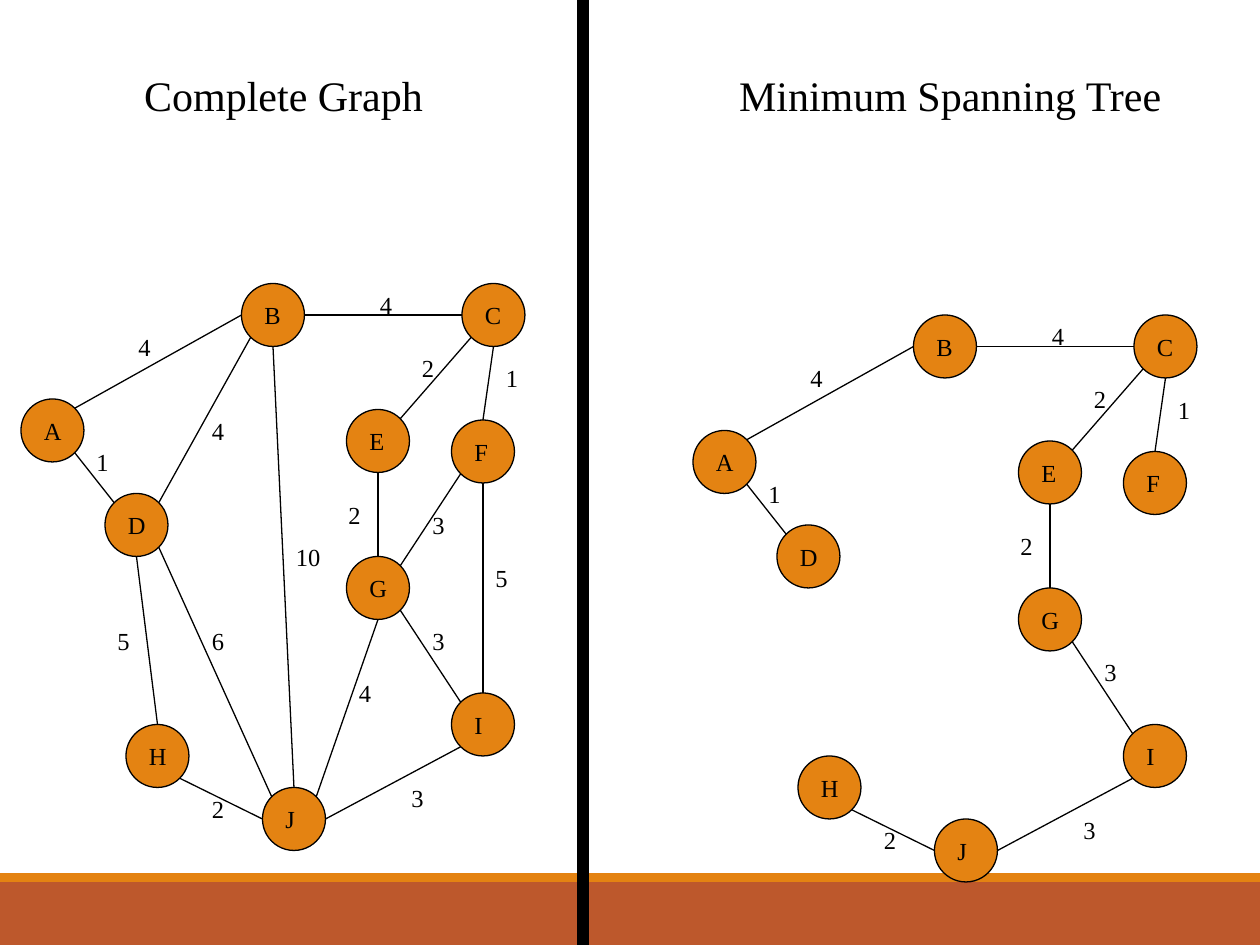
import math
from dataclasses import dataclass

from lxml import etree
from pptx import Presentation
from pptx import util as u
from pptx.dml.color import RGBColor
from pptx.enum import shapes, text
from pptx.oxml.ns import qn


@dataclass(frozen=True)
class Theme:
    ink: str = "000000"
    accent: str = "E48312"
    footer: str = "BD582C"
    font: str = "Times New Roman"
    title_size: int = 24
    label_size: int = 14
    line_width: float = 0.75


THEME = Theme()
STEP_CM = 2.54 / 12
NODE_SIZE = 6
LABEL_HEIGHT = 4
TREE_SHIFT = (64, 3)
GLYPH_EM = dict(A=0.72, B=0.67, C=0.67, D=0.72, E=0.61, F=0.56,
                G=0.72, H=0.72, I=0.33, J=0.39)
DIGIT_EM = 0.5

NODES = {
    "A": (2, 38), "B": (23, 27), "C": (44, 27), "D": (10, 47), "E": (33, 39),
    "F": (43, 40), "G": (33, 53), "H": (12, 69), "I": (43, 66), "J": (25, 75),
}

SITE_ANGLES = {"right": 0, "lower right": 45, "bottom": 90, "lower left": 135,
               "left": 180, "upper left": 225, "top": 270, "upper right": 315}

EDGES = {
    "AB": ("upper right", "left", 4, (12, 31)),
    "AD": ("lower right", "upper left", 1, (8, 42)),
    "BC": ("right", "left", 4, (35, 27)),
    "BD": ("lower left", "upper right", 4, (19, 39)),
    "BJ": ("bottom", "top", 10, (27, 51)),
    "CE": ("lower left", "upper right", 2, (39, 33)),
    "CF": ("bottom", "top", 1, (47, 34)),
    "DH": ("bottom", "top", 5, (10, 59)),
    "DJ": ("lower right", "upper left", 6, (19, 59)),
    "EG": ("bottom", "top", 2, (32, 47)),
    "FG": ("lower left", "upper right", 3, (40, 48)),
    "FI": ("bottom", "top", 5, (46, 53)),
    "GI": ("lower right", "upper left", 3, (40, 59)),
    "GJ": ("bottom", "upper right", 4, (33, 64)),
    "HJ": ("lower right", "left", 2, (19, 75)),
    "IJ": ("lower left", "right", 3, (38, 74)),
}
TREE_EDGES = ("AB", "AD", "BC", "CE", "CF", "EG", "GI", "HJ", "IJ")


def grid(*steps):
    return [u.Cm(step * STEP_CM) for step in steps]


def moved(point, shift):
    return point[0] + shift[0], point[1] + shift[1]


def set_outline(line):
    line.color.rgb = RGBColor.from_string(THEME.ink)
    line.width = u.Pt(THEME.line_width)


def add_filled(slide, kind, bounds, color, outlined=False):
    shape = slide.shapes.add_shape(kind, *bounds)
    shape.shadow.inherit = False
    shape.fill.solid()
    shape.fill.fore_color.rgb = RGBColor.from_string(color)
    if outlined:
        set_outline(shape.line)
    else:
        shape.line.fill.background()


def add_text(slide, words, bounds, size=THEME.label_size,
             align=text.PP_ALIGN.LEFT, wrap=False):
    frame = slide.shapes.add_textbox(*bounds).text_frame
    frame.word_wrap = wrap
    frame.auto_size = text.MSO_AUTO_SIZE.SHAPE_TO_FIT_TEXT
    paragraph = frame.paragraphs[0]
    paragraph.alignment = align
    run = paragraph.add_run()
    run.text = words
    run.font.name = THEME.font
    run.font.size = u.Pt(size)
    run.font.color.rgb = RGBColor.from_string(THEME.ink)


def add_label(slide, words, corner):
    ems = sum(GLYPH_EM.get(glyph, DIGIT_EM) for glyph in words)
    width = u.Cm(0.51) + u.Pt(THEME.label_size * ems)
    left, top, height = grid(*corner, LABEL_HEIGHT)
    add_text(slide, words, (left, top, width, height))


def add_node(slide, name, shift):
    corner = moved(NODES[name], shift)
    add_filled(slide, shapes.MSO_SHAPE.OVAL,
               grid(*corner, NODE_SIZE, NODE_SIZE), THEME.accent, outlined=True)
    add_label(slide, name, moved(corner, (1, 1)))


def node_site(name, site, shift):
    angle = math.radians(SITE_ANGLES[site])
    radius = NODE_SIZE / 2
    rim = (radius * (1 + math.cos(angle)), radius * (1 + math.sin(angle)))
    return moved(moved(NODES[name], shift), rim)


def add_edge(slide, ends, shift):
    start_site, end_site, weight, weight_corner = EDGES[ends]
    start = node_site(ends[0], start_site, shift)
    end = node_site(ends[1], end_site, shift)
    edge = slide.shapes.add_connector(
        shapes.MSO_CONNECTOR.STRAIGHT, *grid(*start, *end))
    set_outline(edge.line)
    etree.SubElement(edge.element.spPr, qn("a:effectLst"))
    add_label(slide, str(weight), moved(weight_corner, shift))


def add_graph(slide, title, title_bounds, edges, shift=(0, 0)):
    add_text(slide, title, grid(*title_bounds), size=THEME.title_size,
             align=text.PP_ALIGN.CENTER, wrap=True)
    for name in NODES:
        add_node(slide, name, shift)
    for ends in edges:
        add_edge(slide, ends, shift)


def add_background(slide):
    rectangle = shapes.MSO_SHAPE.RECTANGLE
    add_filled(slide, rectangle, grid(0, 84, 120, 6), THEME.footer)
    add_filled(slide, rectangle,
               (0, u.Cm(17.6), u.Cm(25.4), u.Cm(0.18)), THEME.accent)
    add_filled(slide, rectangle, grid(55, 0, 1, 90), THEME.ink, outlined=True)


def main():
    deck = Presentation()
    deck.slide_width, deck.slide_height = u.Cm(25.4), u.Cm(19.05)
    slide = deck.slides.add_slide(deck.slide_layouts[6])
    add_background(slide)
    add_graph(slide, "Complete Graph", (4, 6, 46, 6), EDGES)
    add_graph(slide, "Minimum Spanning Tree", (69, 6, 43, 6),
              TREE_EDGES, TREE_SHIFT)
    deck.save("out.pptx")


if __name__ == "__main__":
    main()
